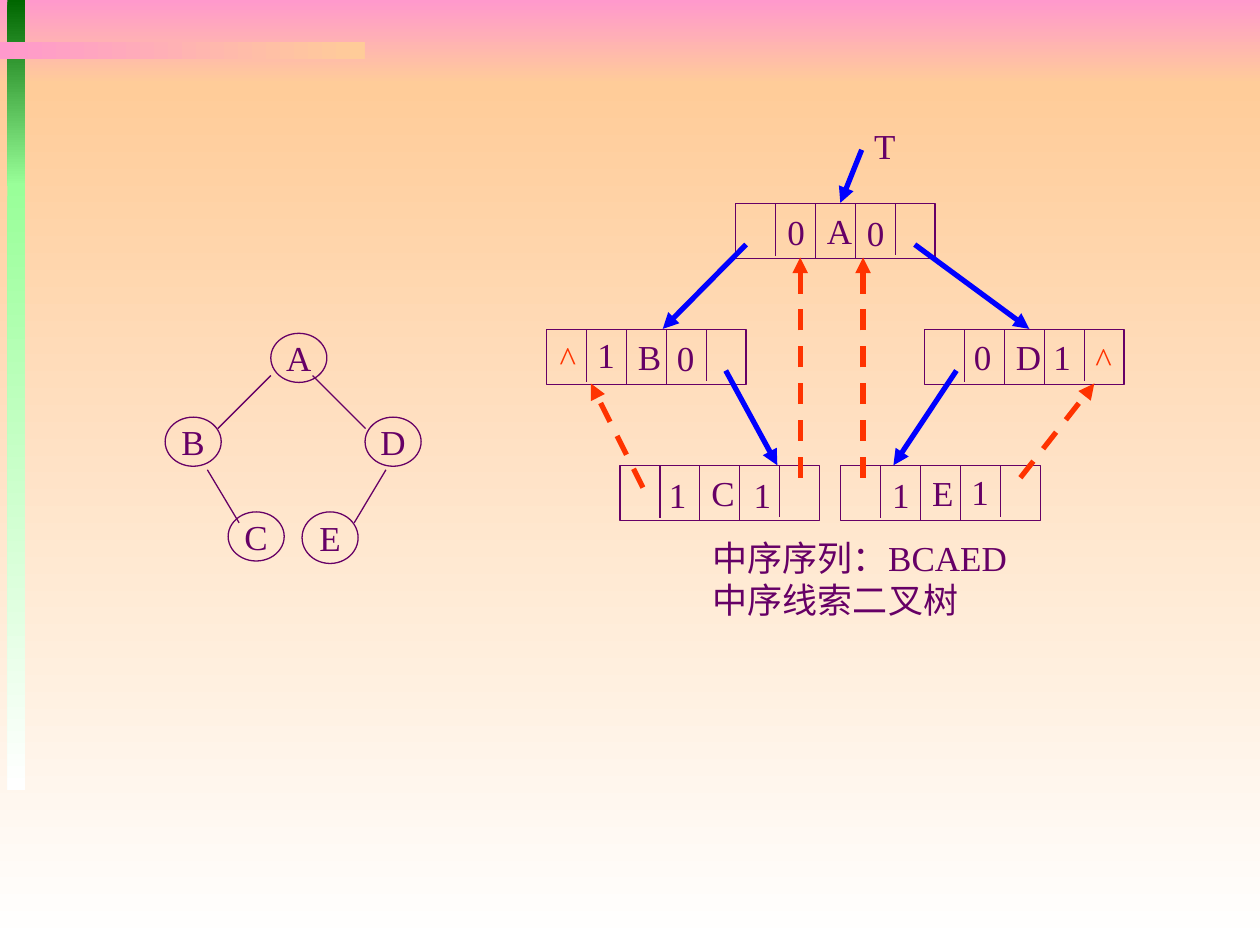
from lxml.etree import SubElement
from pptx import Presentation
from pptx.dml.color import RGBColor
from pptx.enum.dml import MSO_LINE
from pptx.enum.shapes import MSO_CONNECTOR, MSO_SHAPE
from pptx.enum.text import MSO_ANCHOR, MSO_AUTO_SIZE, PP_ALIGN
from pptx.oxml.ns import qn
from pptx.util import Cm, Pt

PURPLE = RGBColor(0x66, 0x00, 0x66)
BLUE = RGBColor(0x00, 0x00, 0xFF)
RED = RGBColor(0xFF, 0x33, 0x00)
PINK = RGBColor(0xFF, 0x99, 0xCC)
PEACH = RGBColor(0xFF, 0xCC, 0x99)
WHITE = RGBColor(0xFF, 0xFF, 0xFF)
DARK_GREEN = RGBColor(0x00, 0x66, 0x00)
LIGHT_GREEN = RGBColor(0x99, 0xFF, 0x99)
FONT = "Times New Roman"

# All positions and sizes below are in centimetres.
WIDTH, HEIGHT = 25.4, 19.05
DOWN, RIGHTWARD = 270, 0

# left, top, width, height, first colour, last colour, direction
BACKDROP = [
    (0, 0, WIDTH, 1.7, PINK, PEACH, DOWN),
    (0, 1.7, WIDTH, 17.35, PEACH, WHITE, DOWN),
    (0.15, 0, 0.36, 3.75, DARK_GREEN, LIGHT_GREEN, DOWN),
    (0.15, 3.71, 0.36, 12.22, LIGHT_GREEN, WHITE, DOWN),
    (0, 0.84, 7.35, 0.35, PINK, PEACH, RIGHTWARD),
]

# letter, left, top, height
TREE_NODES = [
    ("A", 5.46, 6.72, 0.99),
    ("B", 3.33, 8.41, 0.99),
    ("C", 4.6, 10.32, 0.99),
    ("D", 7.36, 8.41, 0.99),
    ("E", 6.09, 10.32, 1.04),
]
NODE_WIDTH = 1.13
TREE_EDGES = [
    ((5.46, 7.57), (4.39, 8.64)),
    ((6.3, 7.57), (7.37, 8.64)),
    ((4.18, 9.47), (4.82, 10.54)),
    ((7.78, 9.47), (7.14, 10.54)),
]

# letter, left, top
RECORDS = [
    ("A", 14.83, 4.1),
    ("B", 11.02, 6.64),
    ("D", 18.64, 6.64),
    ("C", 12.5, 9.38),
    ("E", 16.95, 9.38),
]
RECORD_WIDTH, RECORD_HEIGHT = 4.02, 1.11
DIVIDER_LENGTHS = (1.07, 1.12, 1.12, 1.05)
CELL_WIDTH = RECORD_WIDTH / (len(DIVIDER_LENGTHS) + 1)
LETTER_INDENT = 1.84

# text, left, top, colour
FIELDS = [
    ("0", 15.62, 4.11, PURPLE),
    ("0", 17.22, 4.14, PURPLE),
    ("1", 11.79, 6.6, PURPLE),
    ("0", 13.39, 6.65, PURPLE),
    ("0", 19.38, 6.63, PURPLE),
    ("1", 20.98, 6.63, PURPLE),
    ("1", 13.23, 9.42, PURPLE),
    ("1", 14.94, 9.42, PURPLE),
    ("1", 17.73, 9.42, PURPLE),
    ("1", 19.33, 9.35, PURPLE),
    ("^", 11.02, 6.65, RED),
    ("^", 21.82, 6.68, RED),
]
FIELD_WIDTH = 0.86

CHILD_POINTERS = [
    ((15.04, 4.93), (13.36, 6.63)),
    ((18.44, 4.93), (20.75, 6.63)),
    ((14.63, 7.47), (15.67, 9.38)),
    ((19.28, 7.47), (18.01, 9.38)),
    ((17.37, 3.02), (16.94, 4.09)),
]
THREADS = [
    ((12.96, 9.83), (11.91, 7.73)),
    ((16.13, 9.63), (16.13, 5.19)),
    ((17.4, 9.63), (17.4, 5.19)),
    ((20.57, 9.63), (22.06, 7.73)),
]
ROOT_LABEL = "T"
CAPTION = ["中序序列：BCAED", "中序线索二叉树"]


def write(shape, lines, color=PURPLE, align=PP_ALIGN.LEFT,
          anchor=MSO_ANCHOR.MIDDLE, wrap=False, indent=0.25):
    frame = shape.text_frame
    frame.word_wrap = wrap
    frame.vertical_anchor = anchor
    frame.margin_left = Cm(indent)
    frame.text = "\n".join(lines)
    for paragraph in frame.paragraphs:
        paragraph.alignment = align
        font = paragraph.font
        font.name, font.size, font.color.rgb = FONT, Pt(20), color


def add_box(slide, kind, left, top, width, height):
    """Add a preset shape with neither fill nor shadow."""
    shape = slide.shapes.add_shape(
        kind, Cm(left), Cm(top), Cm(width), Cm(height))
    shape.shadow.inherit = False
    shape.fill.background()
    shape.line.color.rgb = PURPLE
    shape.line.width = Pt(0.75)
    return shape


def add_gradient(slide, left, top, width, height, first, last, angle):
    shape = add_box(slide, MSO_SHAPE.RECTANGLE, left, top, width, height)
    shape.line.fill.background()
    shape.fill.gradient()
    shape.fill.gradient_angle = angle
    for stop, color in zip(shape.fill.gradient_stops, (first, last)):
        stop.color.rgb = color


def add_line(slide, start, end, color=PURPLE, width=0.75, dash=None,
             arrow=False):
    connector = slide.shapes.add_connector(
        MSO_CONNECTOR.STRAIGHT, *(Cm(value) for value in (*start, *end)))
    line = connector.line
    line.color.rgb = color
    line.width = Pt(width)
    if dash:
        line.dash_style = dash
    if arrow:
        SubElement(line._ln, qn("a:tailEnd"), type="triangle")
    SubElement(connector._element.spPr, qn("a:effectLst"))


def add_label(slide, lines, left, top, width, height, **text_format):
    box = slide.shapes.add_textbox(Cm(left), Cm(top), Cm(width), Cm(height))
    write(box, lines, **text_format)
    box.text_frame.auto_size = MSO_AUTO_SIZE.SHAPE_TO_FIT_TEXT


def add_record(slide, letter, left, top):
    """Add a five-cell record with its letter in the middle cell."""
    box = add_box(slide, MSO_SHAPE.RECTANGLE, left, top,
                  RECORD_WIDTH, RECORD_HEIGHT)
    write(box, [letter], wrap=True, indent=LETTER_INDENT)
    for number, length in enumerate(DIVIDER_LENGTHS, start=1):
        x = left + number * CELL_WIDTH
        add_line(slide, (x, top), (x, top + length))


def main():
    presentation = Presentation()
    presentation.slide_width = Cm(WIDTH)
    presentation.slide_height = Cm(HEIGHT)
    slide = presentation.slides.add_slide(presentation.slide_layouts[6])

    for band in BACKDROP:
        add_gradient(slide, *band)
    for letter, left, top, height in TREE_NODES:
        node = add_box(slide, MSO_SHAPE.OVAL, left, top, NODE_WIDTH, height)
        write(node, [letter], align=PP_ALIGN.CENTER)
    for start, end in TREE_EDGES:
        add_line(slide, start, end)

    for record in RECORDS:
        add_record(slide, *record)
    for start, end in CHILD_POINTERS:
        add_line(slide, start, end, color=BLUE, width=3, arrow=True)
    add_label(slide, [ROOT_LABEL], 17.37, 2.39, 0.94, RECORD_HEIGHT,
              anchor=MSO_ANCHOR.TOP)
    add_label(slide, CAPTION, 14.12, 10.69, 6.6, 1.96, anchor=MSO_ANCHOR.TOP)
    for text, left, top, color in FIELDS:
        add_label(slide, [text], left, top, FIELD_WIDTH, RECORD_HEIGHT,
                  color=color, align=PP_ALIGN.CENTER)
    for start, end in THREADS:
        add_line(slide, start, end, color=RED, width=3,
                 dash=MSO_LINE.DASH, arrow=True)

    presentation.save("out.pptx")


if __name__ == "__main__":
    main()
